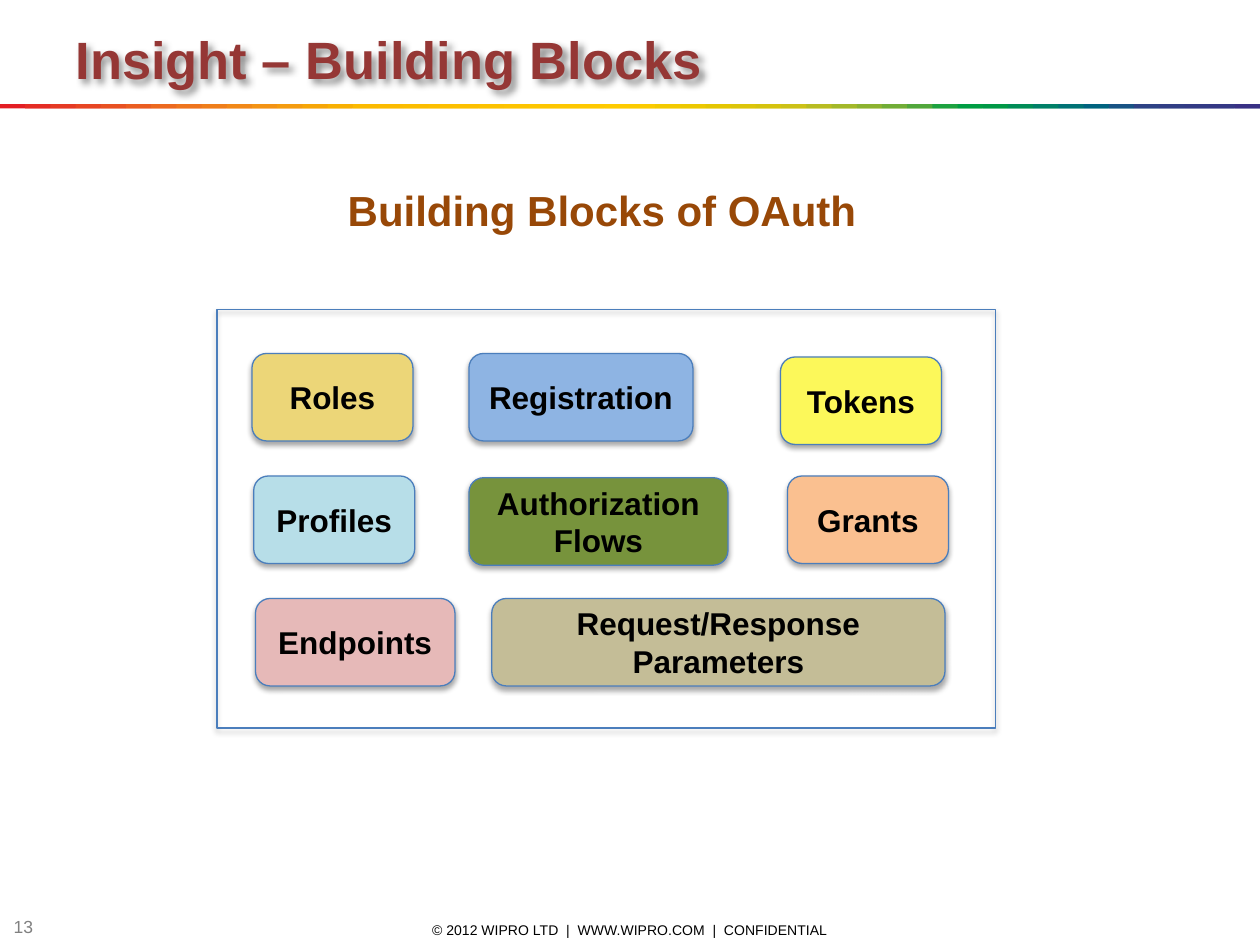
from dataclasses import dataclass

from lxml.etree import SubElement
from pptx import Presentation
from pptx.dml.color import RGBColor
from pptx.enum.shapes import MSO_SHAPE as Shape
from pptx.enum.text import MSO_ANCHOR as Anchor, MSO_AUTO_SIZE as AutoSize, PP_ALIGN as Align
from pptx.oxml.ns import qn
from pptx.util import Pt


@dataclass(frozen=True)
class Theme:
    font: str = "Arial"
    title: str = "953735"
    heading: str = "984807"
    text: str = "000000"
    number: str = "808080"
    outline: str = "4B7EBC"
    paper: str = "FFFFFF"
    title_size: int = 30
    heading_size: int = 24
    block_size: int = 18
    number_size: int = 10
    footer_size: int = 8


THEME = Theme()

# Colours of the strip under the title, left to right
SPECTRUM = """
E31E24 E42C24 E53A24 E74623 E85122 EA5D21 EC691F EE741D EF7E1A F18817
F39314 F49C0F F6A607 F8B002 FBBA00 FBBB00 FBBD00 FCBF00 FCC000 FCC200
FDC400 FDC600 FDC700 FEC900 FECB00 FBCB00 F3CA00 ECC800 E4C602 DCC50A
D5C30E CCC117 B8BC21 A3B829 8CB230 71AD36 51A73B 1DA240 009D43 009846
008C57 008068 007275 00637F 185384 2E4285 313E85 333B85 353885 393185
""".split()

# Building blocks: label, row, left, drop below the row top, width, fill
FIRST_ROW, ROW_STEP, BLOCK_HEIGHT = 202, 70, 50
BLOCKS = [
    ("Roles", 0, 144, 0, 92, "ECD678"),
    ("Registration", 0, 268, 0, 128, "8EB4E3"),
    ("Tokens", 0, 446, 2, 92, "FCF85A"),
    ("Profiles", 1, 145, 0, 92, "B7DEE8"),
    ("Authorization\nFlows", 1, 268, 1, 148, "77933C"),
    ("Grants", 1, 450, 0, 92, "FAC090"),
    ("Endpoints", 2, 146, 0, 114, "E6B9B8"),
    ("Request/Response\nParameters", 2, 281, 0, 259, "C4BD97"),
]


def color(value):
    return RGBColor.from_string(value)


def place(shape, left, top, width, height):
    shape.left, shape.top, shape.width, shape.height = map(Pt, (left, top, width, height))


def write(shape, text, size, ink, align, bold=True, anchor=Anchor.MIDDLE):
    frame = shape.text_frame
    frame.text = text
    frame.word_wrap = True
    frame.auto_size = AutoSize.NONE
    frame.vertical_anchor = anchor
    for para in frame.paragraphs:
        para.alignment = align
        para.space_before = Pt(0)
        for span in para.runs:
            font = span.font
            font.name, font.size, font.bold = THEME.font, Pt(size), bold
            font.color.rgb = color(ink)
    return frame


def add_shadow(shape, blur, distance, degrees, opacity):
    shape.shadow.inherit = False
    effects = shape._element.spPr.find(qn("a:effectLst"))
    shadow = SubElement(effects, qn("a:outerShdw"), blurRad=str(Pt(blur)), dist=str(Pt(distance)),
                        dir=str(degrees * 60000), algn="ctr", rotWithShape="0")
    black = SubElement(shadow, qn("a:srgbClr"), val="000000")
    SubElement(black, qn("a:alpha"), val=str(opacity * 1000))


def add_strip(page, width, top, height):
    step = width / len(SPECTRUM)
    for index, fill in enumerate(SPECTRUM):
        left = index * step
        piece = page.shapes.add_shape(Shape.RECTANGLE, Pt(left), Pt(top),
                                      Pt(min(2 * step, width - left)), Pt(height))
        piece.shadow.inherit = False
        piece.fill.solid()
        piece.fill.fore_color.rgb = color(fill)
        piece.line.fill.background()


def add_outlined(page, kind, left, top, width, height, fill=None):
    shape = page.shapes.add_shape(kind, Pt(left), Pt(top), Pt(width), Pt(height))
    if fill:
        shape.fill.solid()
        shape.fill.fore_color.rgb = color(fill)
    else:
        shape.fill.background()
    shape.line.color.rgb = color(THEME.outline)
    shape.line.width = Pt(0.75)
    add_shadow(shape, 3.1, 1.8, 90, 35)
    return shape


def add_label(page, text, left, top, width, height, size, ink, align):
    box = page.shapes.add_textbox(Pt(left), Pt(top), Pt(width), Pt(height))
    frame = write(box, text, size, ink, align, bold=False)
    frame.margin_top = frame.margin_bottom = 0


def fill_title(page):
    title = page.shapes.title
    place(title, 36, 11.5, 648, 44)
    write(title, "Insight – Building Blocks", THEME.title_size, THEME.title, Align.LEFT)
    add_shadow(title, 4, 3, 45, 43)


def fill_heading(page):
    body = page.placeholders[1]
    place(body, 44.5, 73.5, 599, 430.5)
    body.fill.solid()
    body.fill.fore_color.rgb = color(THEME.paper)
    frame = write(body, "Building Blocks of OAuth", THEME.heading_size, THEME.heading,
                  Align.CENTER, anchor=Anchor.TOP)
    frame.margin_top = Pt(32)
    properties = frame.paragraphs[0]._p.get_or_add_pPr()
    properties.set("marL", "0")
    properties.set("indent", "0")
    SubElement(properties, qn("a:buNone"))


def main():
    deck = Presentation()
    deck.slide_width, deck.slide_height = Pt(720), Pt(540)
    page = deck.slides.add_slide(deck.slide_layouts[1])

    # Title, heading and strip
    fill_title(page)
    fill_heading(page)
    add_strip(page, 720, 59.5, 2.5)

    # Panel with the building blocks
    add_outlined(page, Shape.RECTANGLE, 124, 177, 445, 239)
    for label, row, left, drop, width, fill in BLOCKS:
        top = FIRST_ROW + row * ROW_STEP + drop
        block = add_outlined(page, Shape.ROUNDED_RECTANGLE, left, top, width, BLOCK_HEIGHT, fill)
        write(block, label, THEME.block_size, THEME.text, Align.CENTER)

    # Footer
    add_label(page, "13", 0.75, 523.5, 28, 12, THEME.number_size, THEME.number, Align.LEFT)
    add_label(page, "© 2012 WIPRO LTD\u00a0 |\u00a0 WWW.WIPRO.COM\u00a0 |\u00a0 CONFIDENTIAL".replace("\u00a0", " "),
              237.5, 524, 245, 14.5, THEME.footer_size, THEME.text, Align.CENTER)

    deck.save("out.pptx")


if __name__ == "__main__":
    main()
